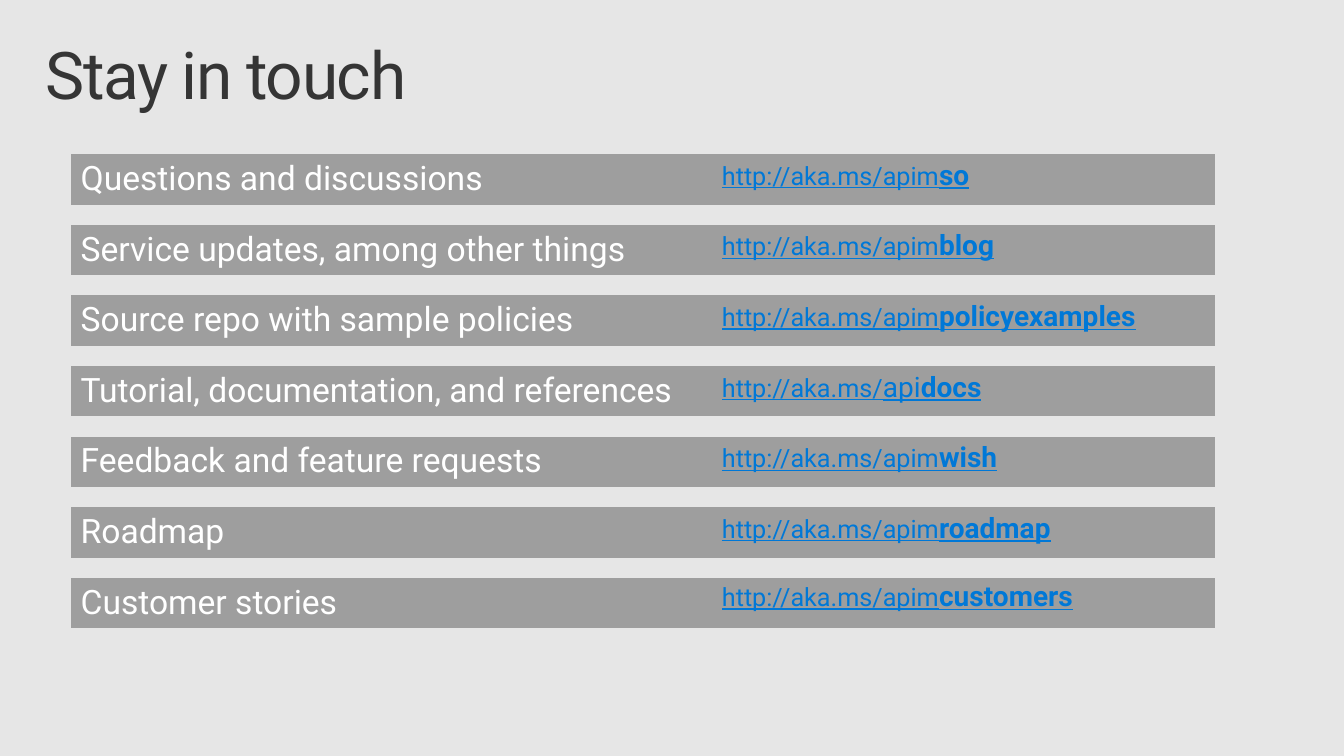
import pptx
import pptx.util
import pptx.dml.color
import pptx.enum.text
from lxml import etree

TITLE = "Stay in touch"
# Topic, then the link as (text, size, bold) pieces
BASE = ("http://aka.ms/apim", 18, False)
CHANNELS = [
    ("Questions and discussions", [BASE, ("so", 20, True)]),
    ("Service updates, among other things", [BASE, ("blog", 20, True)]),
    ("Source repo with sample policies", [BASE, ("policyexamples", 20, True)]),
    ("Tutorial, documentation, and references",
     [("http://aka.ms/", 18, False), ("api", 20, False), ("docs", 20, True)]),
    ("Feedback and feature requests", [BASE, ("wish", 20, True)]),
    ("Roadmap", [BASE, ("roadmap", 20, True)]),
    ("Customer stories", [BASE, ("customers", 20, True)]),
]
COLORS = {"page": "E6E6E6", "bar": "9E9E9E", "title": "353535",
          "topic": "FFFFFF", "link": "0078D7"}
FONT = "Roboto"
COLUMNS = (6.36, 4.99)
BAR, GAP = 0.49, 0.2
NO_GRID_STYLE = "{2D5ABB26-0587-4C30-8999-92F81FD0307C}"

Inches = pptx.util.Inches


def color(name):
    return pptx.dml.color.RGBColor.from_string(COLORS[name])


def add_run(paragraph, text, size, color_name, bold=False, underline=False):
    run = paragraph.add_run()
    run.text = text
    run.font.name = FONT
    run.font.size = pptx.util.Pt(size)
    run.font.bold = bold
    run.font.underline = underline
    run.font.color.rgb = color(color_name)
    return run


def main():
    deck = pptx.Presentation()
    deck.slide_width, deck.slide_height = Inches(13.33), Inches(7.5)
    slide = deck.slides.add_slide(deck.slide_layouts[6])
    slide.background.fill.solid()
    slide.background.fill.fore_color.rgb = color("page")

    # Title
    heading = slide.shapes.add_textbox(
        Inches(0.29), Inches(0.32), Inches(12.75), Inches(0.98)).text_frame
    heading.word_wrap = True
    heading.vertical_anchor = pptx.enum.text.MSO_ANCHOR.TOP
    heading.margin_left = heading.margin_right = Inches(0.16)
    heading.margin_top = heading.margin_bottom = Inches(0.1)
    heading.paragraphs[0].line_spacing = 0.9
    title_run = add_run(heading.paragraphs[0], TITLE, 47, "title")
    title_run.font._element.set("spc", "-100")

    # Table: bars on even rows, narrow spacers between them
    row_count = 2 * len(CHANNELS) - 1
    height = len(CHANNELS) * BAR + (len(CHANNELS) - 1) * GAP
    channels = slide.shapes.add_table(
        row_count, len(COLUMNS), Inches(0.7), Inches(1.53),
        Inches(sum(COLUMNS)), Inches(height)).table
    channels.first_row = channels.horz_banding = False
    channels._tbl.tblPr[0].text = NO_GRID_STYLE
    for column, width in zip(channels.columns, COLUMNS):
        column.width = Inches(width)

    for index, row in enumerate(channels.rows):
        is_bar = index % 2 == 0
        row.height = Inches(BAR if is_bar else GAP)
        for cell in row.cells:
            if is_bar:
                cell.fill.solid()
                cell.fill.fore_color.rgb = color("bar")
            else:
                cell.fill.background()
                # Small type keeps the empty row narrow
                etree.SubElement(cell.text_frame.paragraphs[0]._p,
                                 pptx.oxml.ns.qn("a:endParaRPr"), sz="500")

    # Topics and links
    for index, (topic, link) in enumerate(CHANNELS):
        topic_cell, link_cell = channels.rows[2 * index].cells
        add_run(topic_cell.text_frame.paragraphs[0], topic, 24, "topic")
        address = link_cell.text_frame.paragraphs[0]
        for text, size, bold in link:
            add_run(address, text, size, "link", bold, underline=True)
    address.line_spacing = 0.9  # the last link sits slightly higher

    deck.save("out.pptx")


if __name__ == "__main__":
    main()
